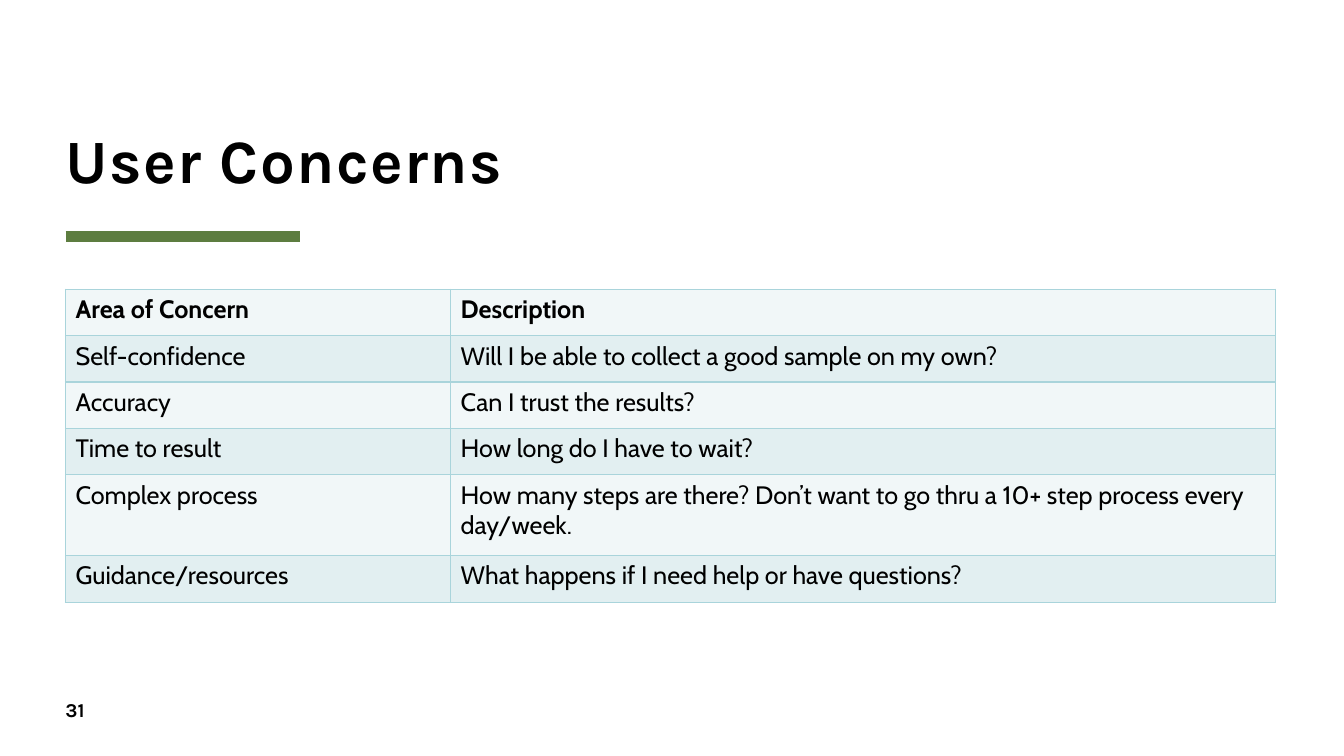
from dataclasses import dataclass

from lxml import etree
from pptx import Presentation
from pptx.dml.color import RGBColor
from pptx.enum.shapes import MSO_CONNECTOR
from pptx.enum.text import MSO_ANCHOR, MSO_AUTO_SIZE, PP_ALIGN
from pptx.oxml.ns import qn
from pptx.util import Inches, Pt

STRAIGHT = MSO_CONNECTOR.STRAIGHT
BOTTOM = MSO_ANCHOR.BOTTOM
TOP = MSO_ANCHOR.TOP
LEFT_ALIGNED = PP_ALIGN.LEFT
NO_AUTOFIT = MSO_AUTO_SIZE.NONE

BLACK = RGBColor(0x00, 0x00, 0x00)
GREEN = RGBColor(0x5D, 0x7D, 0x40)
BORDER_BLUE = RGBColor(0xA9, 0xD4, 0xDB)
LIGHT_BAND = RGBColor(0xF1, 0xF7, 0xF8)
DARK_BAND = RGBColor(0xE2, 0xEF, 0xF1)

HEADING_FONT = "Karla"
BODY_FONT = "Cabin"
MARGIN = 0.65
CONTENT_WIDTH = 12
COLUMN_WIDTHS = (3.82, 8.18)


@dataclass(frozen=True)
class Concern:
    area: str
    description: str
    height: float = 0.46
    bold: bool = False


CONCERNS = (
    Concern("Area of Concern", "Description", bold=True),
    Concern("Self-confidence", "Will I be able to collect a good sample on my own?"),
    Concern("Accuracy", "Can I trust the results?"),
    Concern("Time to result", "How long do I have to wait?"),
    Concern(
        "Complex process",
        "How many steps are there? Don’t want to go thru a 10+ step process every day/week.",
        height=0.8,
    ),
    Concern(
        "Guidance/resources",
        "What happens if I need help or have questions?",
        height=0.47,
    ),
)


def add_span(para, text: str, font_name: str, size: float, bold: bool):
    span = para.add_run()
    span.text = text
    span.font.name = font_name
    span.font.size = Pt(size)
    span.font.bold = bold
    span.font.color.rgb = BLACK
    return span


def prepare_frame(frame, anchor) -> None:
    frame.margin_left = frame.margin_right = 0
    frame.margin_top = frame.margin_bottom = 0
    frame.word_wrap = True
    frame.auto_size = NO_AUTOFIT
    frame.vertical_anchor = anchor


def add_title(page) -> None:
    title = page.shapes.title
    title.left, title.top = Inches(MARGIN), Inches(0.22)
    title.width, title.height = Inches(CONTENT_WIDTH), Inches(1.72)
    prepare_frame(title.text_frame, BOTTOM)
    para = title.text_frame.paragraphs[0]
    para.alignment = LEFT_ALIGNED
    para.line_spacing = 0.8
    span = add_span(para, "User Concerns", HEADING_FONT, 44, True)
    span.font._element.set("spc", "100")


def add_title_rule(page) -> None:
    rule = page.shapes.add_connector(
        STRAIGHT, Inches(MARGIN), Inches(2.35), Inches(2.98), Inches(2.35)
    )
    rule.line.color.rgb = GREEN
    rule.line.width = Pt(8)
    etree.SubElement(rule._element.spPr, qn("a:effectLst"))


def add_borders(cell) -> None:
    properties = cell._tc.get_or_add_tcPr()
    for position, side in enumerate(("lnL", "lnR", "lnT", "lnB")):
        border = etree.Element(qn(f"a:{side}"), w=str(Pt(1)))
        fill = etree.SubElement(border, qn("a:solidFill"))
        etree.SubElement(fill, qn("a:srgbClr"), val=str(BORDER_BLUE))
        properties.insert(position, border)


def fill_cell(cell, text: str, bold: bool, band: RGBColor) -> None:
    cell.fill.solid()
    cell.fill.fore_color.rgb = band
    add_borders(cell)
    para = cell.text_frame.paragraphs[0]
    para.space_after = Pt(6)
    add_span(para, text, BODY_FONT, 18, bold)


def add_concern_table(page) -> None:
    table = page.shapes.add_table(
        len(CONCERNS),
        len(COLUMN_WIDTHS),
        Inches(MARGIN),
        Inches(2.87),
        Inches(CONTENT_WIDTH),
        Inches(sum(concern.height for concern in CONCERNS)),
    ).table
    table.horz_banding = False
    for column, width in zip(table.columns, COLUMN_WIDTHS):
        column.width = Inches(width)
    for index, concern in enumerate(CONCERNS):
        row = table.rows[index]
        row.height = Inches(concern.height)
        band = DARK_BAND if index % 2 else LIGHT_BAND
        for cell, text in zip(row.cells, (concern.area, concern.description)):
            fill_cell(cell, text, concern.bold, band)


def add_page_number(page) -> None:
    box = page.shapes.add_textbox(
        Inches(MARGIN), Inches(6.92), Inches(0.57), Inches(0.27)
    )
    prepare_frame(box.text_frame, TOP)
    add_span(box.text_frame.paragraphs[0], "31", HEADING_FONT, 14, True)


def main() -> None:
    deck = Presentation()
    deck.slide_width, deck.slide_height = Inches(13.33), Inches(7.5)
    page = deck.slides.add_slide(deck.slide_layouts[5])
    add_title_rule(page)
    add_title(page)
    add_concern_table(page)
    add_page_number(page)
    deck.save("out.pptx")


if __name__ == "__main__":
    main()
